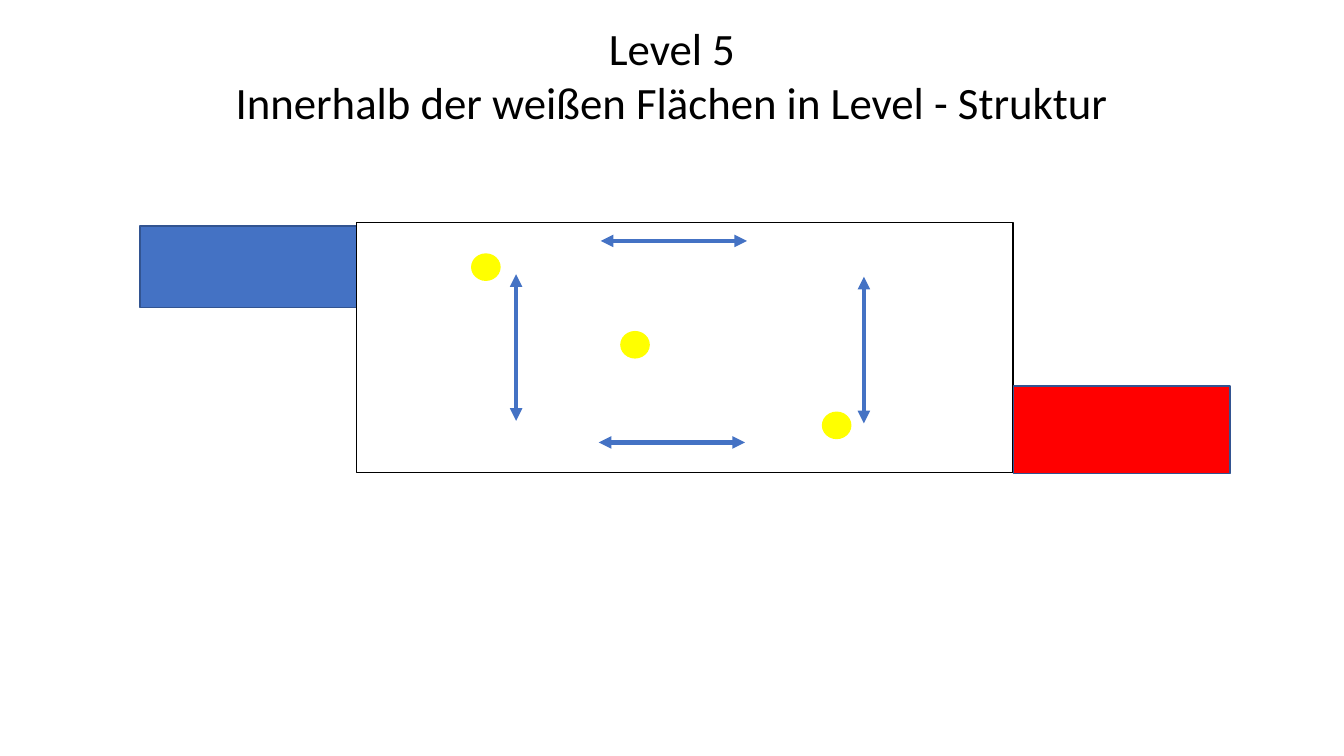
import pptx
import pptx.dml.color
import pptx.enum.shapes
import pptx.enum.text
import pptx.oxml
import pptx.oxml.ns
import pptx.util

COLORS = {
    "text": "000000",
    "start": "4472C4",
    "goal": "FF0000",
    "field": "FFFFFF",
    "border": "325491",
    "outline": "000000",
    "coin": "FFFF00",
    "arrow": "4472C4",
}
RECTANGLE = pptx.enum.shapes.MSO_SHAPE.RECTANGLE
OVAL = pptx.enum.shapes.MSO_SHAPE.OVAL


def color(name):
    return pptx.dml.color.RGBColor.from_string(COLORS[name])


class LevelSlide:
    """Draws on one slide; all lengths are percentages of its size."""

    font = "Calibri"
    title_size = pptx.util.Pt(32)
    border_width = pptx.util.Pt(1)
    arrow_width = pptx.util.Pt(3)

    def __init__(self, deck):
        self.width, self.height = deck.slide_width, deck.slide_height
        self.slide = deck.slides.add_slide(deck.slide_layouts[5])

    def x(self, share):
        return round(self.width * share / 100)

    def y(self, share):
        return round(self.height * share / 100)

    def title(self, text, left, top, width, height):
        heading = self.slide.shapes.title
        heading.left, heading.top = self.x(left), self.y(top)
        heading.width, heading.height = self.x(width), self.y(height)
        frame = heading.text_frame
        frame.text = text
        frame.word_wrap = True
        frame.auto_size = pptx.enum.text.MSO_AUTO_SIZE.NONE
        frame.vertical_anchor = pptx.enum.text.MSO_ANCHOR.TOP
        for paragraph in frame.paragraphs:
            paragraph.alignment = pptx.enum.text.PP_ALIGN.CENTER
            for run in paragraph.runs:
                run.font.name = self.font
                run.font.size = self.title_size
                run.font.color.rgb = color("text")

    def shape(self, kind, left, top, width, height, fill, line):
        area = self.slide.shapes.add_shape(
            kind, self.x(left), self.y(top), self.x(width), self.y(height))
        area.shadow.inherit = False
        area.fill.solid()
        area.fill.fore_color.rgb = color(fill)
        area.line.color.rgb = color(line)
        area.line.width = self.border_width

    def double_arrow(self, left, top, across=0, down=0):
        arrow = self.slide.shapes.add_connector(
            pptx.enum.shapes.MSO_CONNECTOR.STRAIGHT,
            self.x(left), self.y(top), self.x(left + across), self.y(top + down))
        arrow.line.color.rgb = color("arrow")
        arrow.line.width = self.arrow_width
        outline = arrow.line._get_or_add_ln()
        for end in ("a:headEnd", "a:tailEnd"):
            outline.append(pptx.oxml.parse_xml(
                f'<{end} {pptx.oxml.ns.nsdecls("a")} type="triangle"/>'))
        arrow._element.spPr.append(pptx.oxml.parse_xml(
            f'<a:effectLst {pptx.oxml.ns.nsdecls("a")}/>'))


def main():
    deck = pptx.Presentation()
    deck.slide_width = pptx.util.Inches(13.33)
    deck.slide_height = pptx.util.Inches(7.5)
    level = LevelSlide(deck)

    level.title("Level 5\nInnerhalb der weißen Flächen in Level - Struktur",
                0, 2.13, 100, 15.73)

    # Start zone, playing field and goal zone, side by side
    zone_width, field_left, field_width = 16.13, 26.55, 48.84
    level.shape(RECTANGLE, field_left - zone_width, 29.87, zone_width, 10.8,
                "start", "border")
    level.shape(RECTANGLE, field_left, 29.47, field_width, 33.07,
                "field", "outline")
    level.shape(RECTANGLE, field_left + field_width, 51.07, zone_width, 11.6,
                "goal", "border")

    # Coins
    for left, top in ((46.2, 43.87), (61.2, 54.53), (35.1, 33.6)):
        level.shape(OVAL, left, top, 2.1, 3.47, "coin", "coin")

    # Directions of movement
    for left, top in ((44.55, 58.53), (44.7, 31.87)):
        level.double_arrow(left, top, across=10.88)
    for left, top in ((38.4, 36.27), (64.28, 36.6)):
        level.double_arrow(left, top, down=19.4)

    deck.save("out.pptx")


if __name__ == "__main__":
    main()
